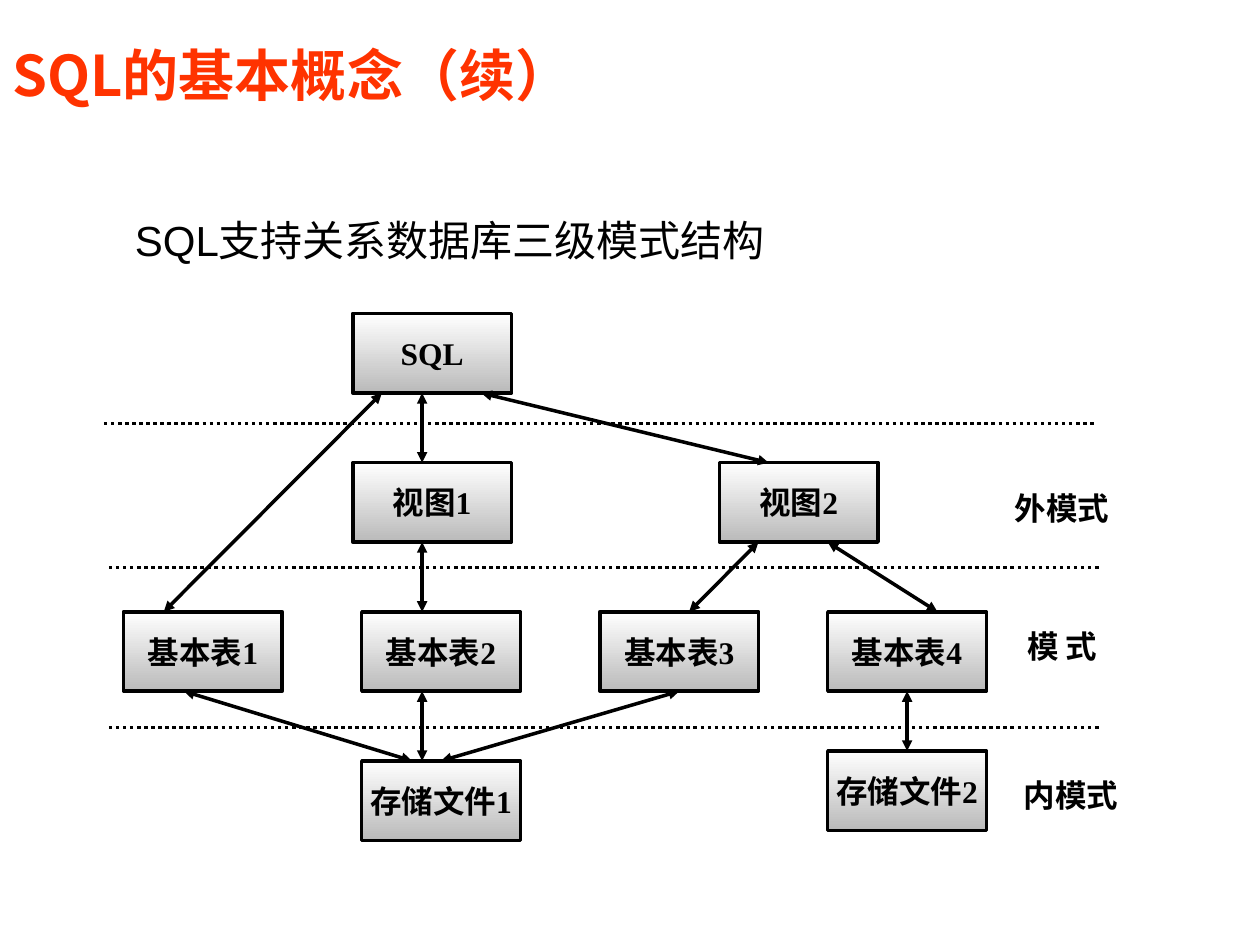
from pptx import Presentation
from pptx.dml.color import RGBColor as RGB
from pptx.enum.dml import MSO_LINE
from pptx.enum.shapes import MSO_CONNECTOR as CONN, MSO_SHAPE as SHAPE
from pptx.enum.text import MSO_ANCHOR as ANCHOR, PP_ALIGN as ALIGN
from pptx.oxml.ns import qn
from pptx.util import Pt
from lxml.etree import SubElement

COLORS = {"title": "FF3300", "ink": "000000", "light": "FFFFFF", "shade": "BABABA"}
CJK = "Noto Sans CJK SC"
BOX_W, BOX_H = 90.7, 45.4
TOP, ROW_STEP = 179.2, 85.2
TABLE_X, TABLE_STEP = 70.6, 136.1


class Deck:
    def __init__(self, prs):
        self.s = prs.slides.add_slide(prs.slide_layouts[6])

    def color(self, name):
        return RGB.from_string(COLORS[name])

    def label(self, sp, text, size=18, font="Times New Roman", color="ink", bold=True,
              align=ALIGN.CENTER, anchor=ANCHOR.TOP, wrap=True, spacing=None):
        tf = sp.text_frame
        tf.word_wrap = wrap
        tf.vertical_anchor = anchor
        p = tf.paragraphs[0]
        p.alignment = align
        if spacing:
            p.line_spacing = spacing
        r = p.add_run()
        r.text = text
        r.font.size = Pt(size)
        r.font.name = font
        r.font.bold = bold
        r.font.color.rgb = self.color(color)
        SubElement(r._r.get_or_add_rPr(), qn("a:ea")).set("typeface", CJK)

    def text(self, x, y, w, h, text, **style):
        sp = self.s.shapes.add_textbox(Pt(x), Pt(y), Pt(w), Pt(h))
        self.label(sp, text, **style)

    def box(self, x, y, text):
        sp = self.s.shapes.add_shape(SHAPE.RECTANGLE, Pt(x), Pt(y), Pt(BOX_W), Pt(BOX_H))
        sp.shadow.inherit = False
        sp.fill.gradient()
        sp.fill.gradient_angle = 270
        for stop, position, name in zip(sp.fill.gradient_stops, (0, 1), ("light", "shade")):
            stop.position = position
            stop.color.rgb = self.color(name)
        sp.line.color.rgb = self.color("ink")
        sp.line.width = Pt(2)
        self.label(sp, text, anchor=ANCHOR.MIDDLE, wrap=False)
        return sp

    def line(self, x1, y1, x2, y2):
        c = self.s.shapes.add_connector(CONN.STRAIGHT, Pt(x1), Pt(y1), Pt(x2), Pt(y2))
        c.line.color.rgb = self.color("ink")
        c.line.width = Pt(2)
        SubElement(c._element.spPr, qn("a:effectLst"))
        return c

    def divider(self, x, y, w):
        self.line(x, y, x + w, y).line.dash_style = MSO_LINE.ROUND_DOT

    def arrow(self, x1, y1, x2, y2):
        c = self.line(x1, y1, x2, y2)
        ln = c._element.spPr.find(qn("a:ln"))
        for end in ("a:headEnd", "a:tailEnd"):
            SubElement(ln, qn(end)).set("type", "triangle")
        return c

    def link(self, upper, lower):
        c = self.arrow(0, 0, 0, 0)
        c.begin_connect(upper, 2)
        c.end_connect(lower, 0)


def main():
    prs = Presentation()
    prs.slide_width, prs.slide_height = Pt(720), Pt(540)
    deck = Deck(prs)
    sql_y, view_y, table_y, file_y = [TOP + i * ROW_STEP for i in range(4)]
    file2_y = 429.1

    deck.text(0, 20.2, 581.8, 44.6, "SQL的基本概念（续）", size=32, font=CJK, color="title",
              align=ALIGN.LEFT, anchor=ANCHOR.MIDDLE)

    deck.box(201.6, sql_y, "SQL")
    for i, x in enumerate((201.6, 411.1), 1):
        deck.box(x, view_y, f"视图{i}")
    table_xs = [TABLE_X + i * TABLE_STEP for i in range(3)] + [473]
    tables = [deck.box(x, table_y, f"基本表{i}") for i, x in enumerate(table_xs, 1)]
    file1 = deck.box(table_xs[1], file_y, "存储文件1")
    file2 = deck.box(table_xs[3], file2_y, "存储文件2")

    for x1, upper_y, x2, lower_y in (
        (218.2, sql_y, 93.6, table_y),
        (241.2, sql_y, 241.2, view_y),
        (275, sql_y, 439.2, view_y),
        (241.2, view_y, 241.2, table_y),
        (433.4, view_y, 393.8, table_y),
        (473, view_y, 535.7, table_y),
        (105.1, table_y, 235.4, file_y),
        (241.2, table_y, 241.2, file_y),
    ):
        deck.arrow(x1, upper_y + BOX_H, x2, lower_y)
    deck.link(tables[2], file1)
    deck.link(tables[3], file2)

    for x, y in ((59.4, 241.9), (62.2, 324.3), (62.2, 415.7)):
        deck.divider(x, y, 567)

    for x, y, level in ((564.5, 275.8, "外模式"), (564.5, 355, "模 式"), (569.5, 439.9, "内模式")):
        deck.text(x, y, 85, 28.8, level)

    deck.text(67, 107.3, 380.2, 47.5, "SQL支持关系数据库三级模式结构", size=24, font="Arial",
              bold=False, wrap=False, spacing=1.4)

    prs.save("out.pptx")


if __name__ == "__main__":
    main()
